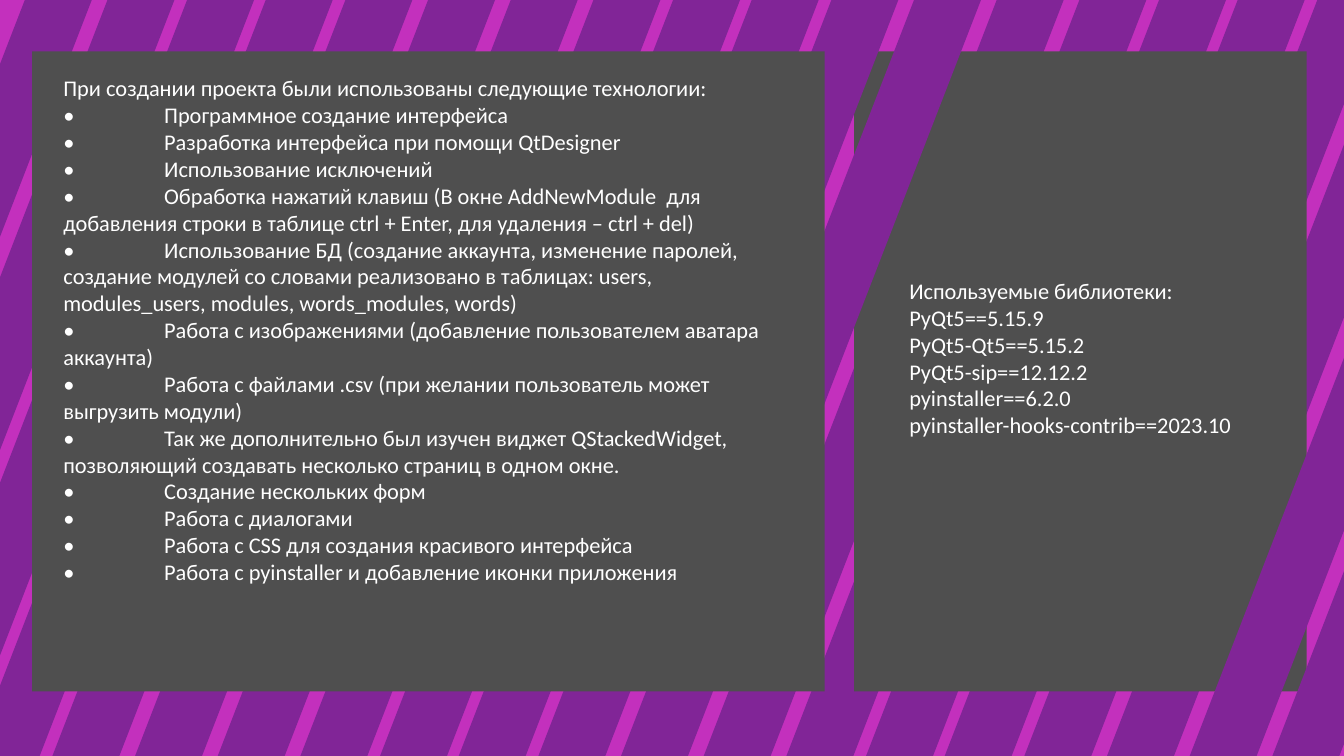
from pptx import Presentation
from pptx.dml.color import RGBColor
from pptx.enum.shapes import MSO_SHAPE
from pptx.enum.text import MSO_AUTO_SIZE
from pptx.util import Inches, Pt

RECT = MSO_SHAPE.RECTANGLE
SLANT = MSO_SHAPE.PARALLELOGRAM
GROW = MSO_AUTO_SIZE.SHAPE_TO_FIT_TEXT

PINK, PURPLE, GREY, WHITE = "C330BD", "812597", "4F4F4F", "FFFFFF"
WIDTH, HEIGHT = 13.33, 7.5
PANEL_TOP, PANEL_HEIGHT = 0.51, 6.35
STRIPE_WIDTH, STRIPE_SLANT = 3.57, 0.814
FIRST_STRIPE, PERIOD = -2.66, 4.82
STEPS = [0, 0.82, 1.61, 2.39, 3.18, 4]

technologies = [
    "Программное создание интерфейса",
    "Разработка интерфейса при помощи QtDesigner",
    "Использование исключений",
    "Обработка нажатий клавиш (В окне AddNewModule  для добавления строки "
    "в таблице ctrl + Enter, для удаления – ctrl + del)",
    "Использование БД (создание аккаунта, изменение паролей, создание модулей "
    "со словами реализовано в таблицах: users, modules_users, modules, "
    "words_modules, words)",
    "Работа с изображениями (добавление пользователем аватара аккаунта)",
    "Работа с файлами .csv (при желании пользователь может выгрузить модули)",
    "Так же дополнительно был изучен виджет QStackedWidget, позволяющий "
    "создавать несколько страниц в одном окне.",
    "Создание нескольких форм",
    "Работа с диалогами",
    "Работа с CSS для создания красивого интерфейса",
    "Работа с pyinstaller и добавление иконки приложения",
]
left_lines = ["При создании проекта были использованы следующие технологии:"]
left_lines += ["•\t" + item for item in technologies]
right_lines = [
    "Используемые библиотеки:",
    "PyQt5==5.15.9",
    "PyQt5-Qt5==5.15.2",
    "PyQt5-sip==12.12.2",
    "pyinstaller==6.2.0",
    "pyinstaller-hooks-contrib==2023.10",
]

prs = Presentation()
prs.slide_width, prs.slide_height = Inches(WIDTH), Inches(HEIGHT)
s = prs.slides.add_slide(prs.slide_layouts[6])
s.background.fill.solid()
s.background.fill.fore_color.rgb = RGBColor.from_string(PINK)


def add_block(kind, x, y, w, h, color):
    sp = s.shapes.add_shape(kind, Inches(x), Inches(y), Inches(w), Inches(h))
    sp.shadow.inherit = False
    sp.fill.solid()
    sp.fill.fore_color.rgb = RGBColor.from_string(color)
    sp.line.fill.background()
    return sp


def add_text(lines, x, y, w, h, size=16, font="Calibri", color=WHITE, tab=1):
    tf = s.shapes.add_textbox(Inches(x), Inches(y), Inches(w), Inches(h)).text_frame
    tf.word_wrap = True
    tf.auto_size = GROW
    for i, line in enumerate(lines):
        p = tf.add_paragraph() if i else tf.paragraphs[0]
        p._p.get_or_add_pPr().set("defTabSz", str(Inches(tab)))
        r = p.add_run()
        r.text = line
        r.font.size = Pt(size)
        r.font.name = font
        r.font.color.rgb = RGBColor.from_string(color)


right_panel = (8.47, 4.49)
left_panel = (0.32, 7.86)
layers = [
    ([*range(10), *range(12, 18)], right_panel),
    ([10, 11], left_panel),
    ([18, 19], None),
]
for stripes, panel in layers:
    for n in stripes:
        x = FIRST_STRIPE + n // len(STEPS) * PERIOD + STEPS[n % len(STEPS)]
        sp = add_block(SLANT, x, 0, STRIPE_WIDTH, HEIGHT, PURPLE)
        sp.adjustments[0] = STRIPE_SLANT
    if panel:
        x, w = panel
        add_block(RECT, x, PANEL_TOP, w, PANEL_HEIGHT, GREY)

add_text(left_lines, 0.53, 0.69, 7.18, 6.02)
add_text(right_lines, 8.92, 2.7, 3.76, 1.72)

prs.save("out.pptx")
